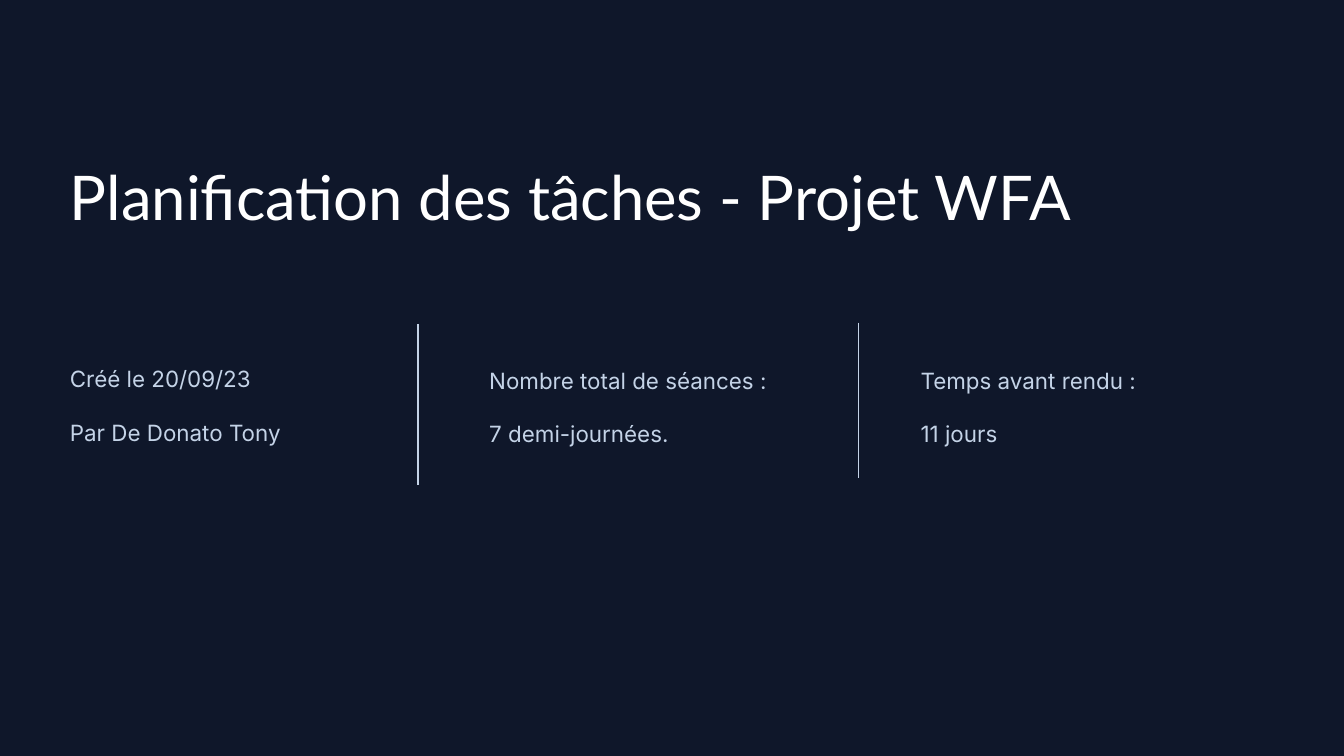
from lxml.etree import SubElement
from pptx import Presentation
from pptx.dml.color import RGBColor
from pptx.enum.shapes import MSO_CONNECTOR
from pptx.enum.text import MSO_ANCHOR, MSO_AUTO_SIZE, PP_ALIGN
from pptx.oxml.ns import qn
from pptx.util import Pt

NAVY = RGBColor(0x0F, 0x17, 0x2A)
MIST = RGBColor(0xC4, 0xD3, 0xE7)
WHITE = RGBColor(0xFF, 0xFF, 0xFF)
COMPARISON_LAYOUT = 4

COLUMNS = [
    (30.24, 186.48, ["Créé le 20/09/23", "Par De Donato Tony"]),
    (254.88, 187.2, ["Nombre total de séances :", "7 demi-journées."]),
    (486, 187.2, ["Temps avant rendu :", "11 jours"]),
]
DIVIDERS = [(223.92, 173.52, 259.92), (460.08, 172.8, 256.32)]


def write_para(para, text, *, font, size, color, line_spacing=1.0, before=0, after=0):
    properties = para._p.get_or_add_pPr()
    properties.set("marL", "0")
    properties.set("indent", "0")
    SubElement(properties, qn("a:buNone"))
    para.alignment = PP_ALIGN.LEFT
    para.line_spacing = line_spacing
    para.space_before, para.space_after = Pt(before), Pt(after)
    span = para.add_run()
    span.text = text
    span.font.name, span.font.size = font, Pt(size)
    span.font.bold = False
    span.font.color.rgb = color


class SlideBuilder:
    title_style = dict(font="Lato", size=33, color=WHITE)
    body_style = dict(font="Inter", size=12, color=MIST, line_spacing=1.15)

    def __init__(self, page):
        self.page = page
        fill = page.background.fill
        fill.solid()
        fill.fore_color.rgb = NAVY

    def place(self, box, left, top, width, height, anchor):
        """Move a placeholder and return its prepared text frame."""
        box.left, box.top = Pt(left), Pt(top)
        box.width, box.height = Pt(width), Pt(height)
        frame = box.text_frame
        frame.auto_size = MSO_AUTO_SIZE.NONE
        frame.word_wrap = True
        frame.vertical_anchor = anchor
        frame.margin_left = frame.margin_right = Pt(7.2)
        frame.margin_top = frame.margin_bottom = Pt(7.2)
        return frame

    def title(self, text, left, top, width, height):
        frame = self.place(self.page.shapes.title, left, top, width, height,
                           MSO_ANCHOR.MIDDLE)
        write_para(frame.paragraphs[0], text, **self.title_style)

    def column(self, box, left, top, lines):
        frame = self.place(box, left, top, 194.4, 31.68, MSO_ANCHOR.TOP)
        write_para(frame.paragraphs[0], lines[0], **self.body_style)
        for line in lines[1:]:
            write_para(frame.add_paragraph(), line, before=12, after=12,
                       **self.body_style)

    def divider(self, x, top, bottom):
        line = self.page.shapes.add_connector(
            MSO_CONNECTOR.STRAIGHT, Pt(x), Pt(top), Pt(x), Pt(bottom))
        line.line.color.rgb = MIST
        line.line.width = Pt(0.75)
        SubElement(line._element.spPr, qn("a:effectLst"))


def main():
    deck = Presentation()
    deck.slide_width, deck.slide_height = Pt(720), Pt(405)
    page = deck.slides.add_slide(deck.slide_layouts[COMPARISON_LAYOUT])
    builder = SlideBuilder(page)

    builder.title("Planification des tâches - Projet WFA", 30.24, 79.92, 610.56, 50.4)
    _, *bodies = page.placeholders
    for box, column in zip(bodies, COLUMNS):
        builder.column(box, *column)
    for spare in bodies[len(COLUMNS):]:
        spare._element.getparent().remove(spare._element)
    for divider in DIVIDERS:
        builder.divider(*divider)

    deck.save("out.pptx")


if __name__ == "__main__":
    main()
